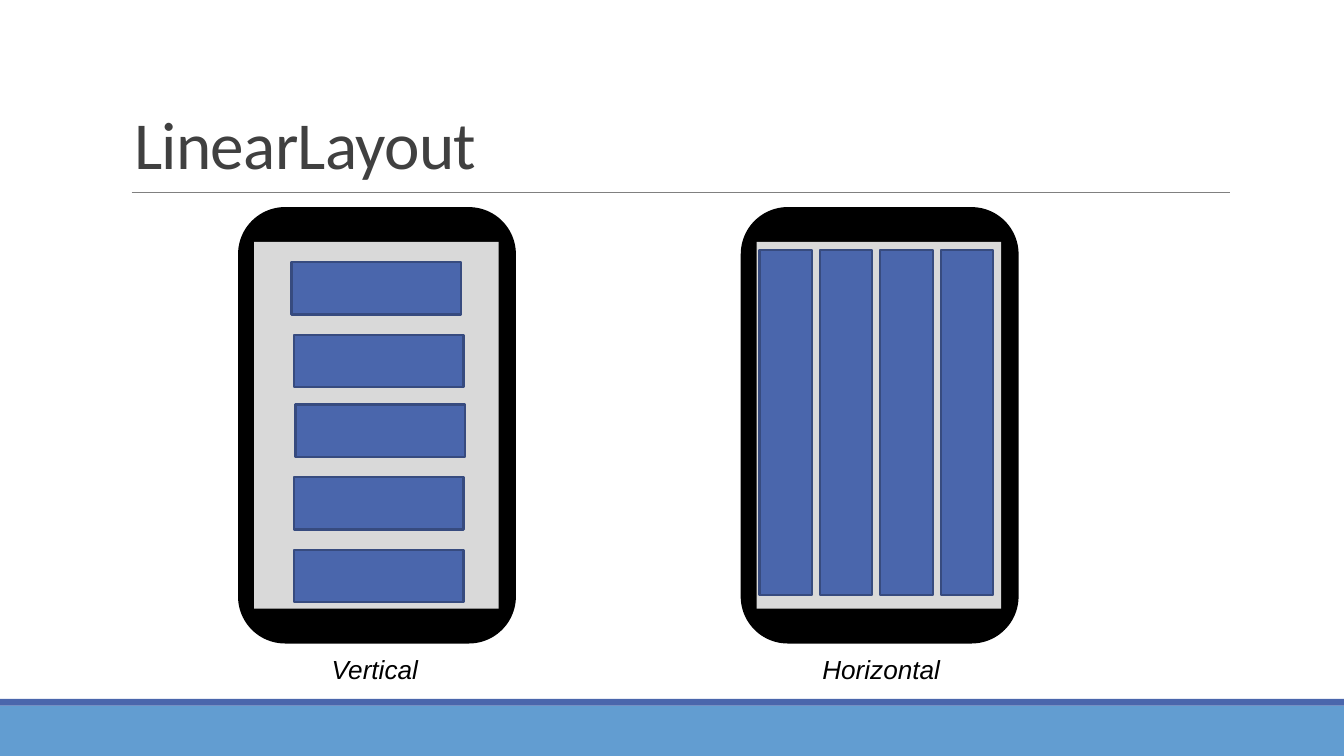
import pptx
import pptx.util
import pptx.dml.color
import pptx.enum.shapes
import pptx.enum.text
from dataclasses import dataclass
from lxml import etree
from pptx.util import Inches, Pt

KIND = pptx.enum.shapes.MSO_SHAPE
ANCHOR = pptx.enum.text.MSO_ANCHOR


@dataclass(frozen=True)
class Theme:
    band: str = "629DD1"
    bar: str = "4A66AC"
    edge: str = "374B7F"
    case: str = "000000"
    screen: str = "D9D9D9"
    rule: str = "808080"
    head: str = "404040"
    note: str = "000000"
    head_size: int = 36
    note_size: int = 14
    head_font: str = "Calibri"
    note_font: str = "Arial"
    thin: float = 0.5
    stroke: float = 1.25


THEME = Theme()


def color(code):
    return pptx.dml.color.RGBColor.from_string(code)


def block(slide, box, fill, line=None, kind=KIND.RECTANGLE):
    shape = slide.shapes.add_shape(kind, *map(Inches, box))
    shape.shadow.inherit = False
    shape.fill.solid()
    shape.fill.fore_color.rgb = color(fill)
    if line:
        shape.line.color.rgb = color(line)
        shape.line.width = Pt(THEME.stroke)
    else:
        shape.line.fill.background()


def label(slide, box, text, font, size, tint):
    """Add a one-line text box and return its frame and run."""
    frame = slide.shapes.add_textbox(*map(Inches, box)).text_frame
    frame.word_wrap = True
    run = frame.paragraphs[0].add_run()
    run.text = text
    run.font.name = font
    run.font.size = Pt(size)
    run.font.color.rgb = color(tint)
    return frame, run


def footer(slide, box):
    left, top, width, height = box
    edge = 0.05
    block(slide, (left, top + edge, width, height - edge), THEME.band)
    block(slide, (left, top, width, edge), THEME.bar)


def header(slide, box, text):
    left, top, width, height = box
    base = top + height + 0.02
    ends = (left + 0.08, base, left + width, base)
    rule = slide.shapes.add_connector(
        pptx.enum.shapes.MSO_CONNECTOR.STRAIGHT, *map(Inches, ends))
    rule.line.color.rgb = color(THEME.rule)
    rule.line.width = Pt(THEME.thin)
    etree.SubElement(rule._element.spPr, pptx.oxml.ns.qn("a:effectLst"))

    frame, run = label(slide, box, text, THEME.head_font,
                       THEME.head_size, THEME.head)
    frame.vertical_anchor = ANCHOR.BOTTOM
    frame.paragraphs[0].line_spacing = 0.85
    run.font._element.set("spc", "-40")


def phone(slide, box, text, note, bars):
    """Draw a phone with its bars and caption, all relative to the box."""
    left, top, width, height = box
    block(slide, box, THEME.case, THEME.case, KIND.ROUNDED_RECTANGLE)
    block(slide, (left + 0.11, top + 0.25, width - 0.23, height - 0.5),
          THEME.screen)
    inset, span = note
    _, run = label(slide, (left + inset, top + height + 0.03, span, 0.34),
                   text, THEME.note_font, THEME.note_size, THEME.note)
    run.font.italic = True
    for x, y, wide, high in bars:
        block(slide, (left + x, top + y, wide, high), THEME.bar, THEME.edge)


def main():
    deck = pptx.Presentation()
    deck.slide_width = Inches(10)
    deck.slide_height = Inches(10 * 9 / 16)
    slide = deck.slides.add_slide(deck.slide_layouts[6])

    footer(slide, (0, 5.2, 10, 0.43))
    header(slide, (0.9, 0.22, 8.25, 1.19), "LinearLayout")

    spots = ((0.39, 0.4), (0.41, 0.94), (0.42, 1.46), (0.41, 2), (0.41, 2.54))
    rows = [(x, y, 1.26, 0.39) for x, y in spots]
    columns = [(0.13 + 0.45 * i, 0.31, 0.39, 2.57) for i in range(4)]
    phone(slide, (1.78, 1.55, 2.05, 3.23), "Vertical", (0.59, 1.46), rows)
    phone(slide, (5.52, 1.55, 2.05, 3.23), "Horizontal", (0.5, 1.54), columns)

    deck.save("out.pptx")


if __name__ == "__main__":
    main()
